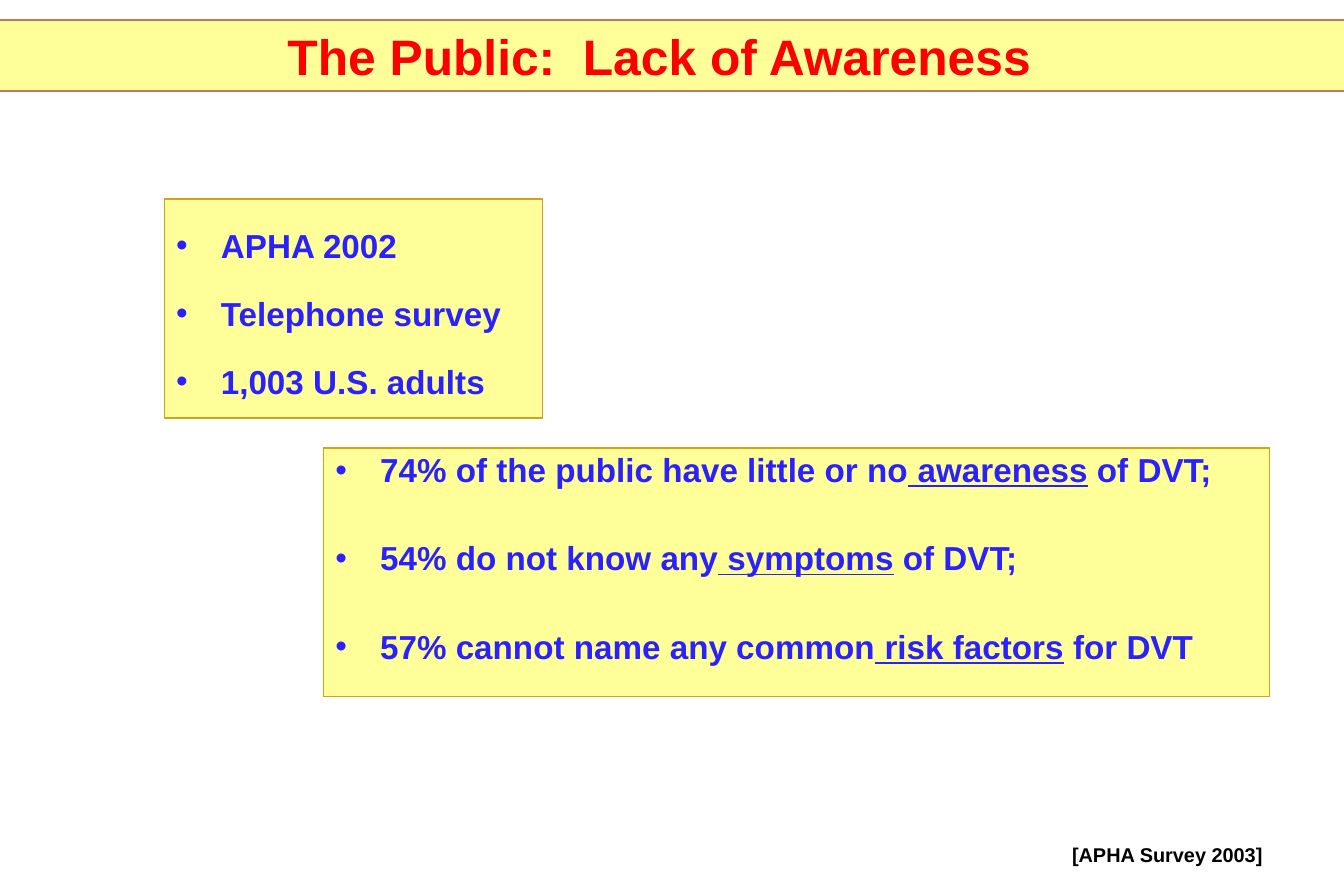
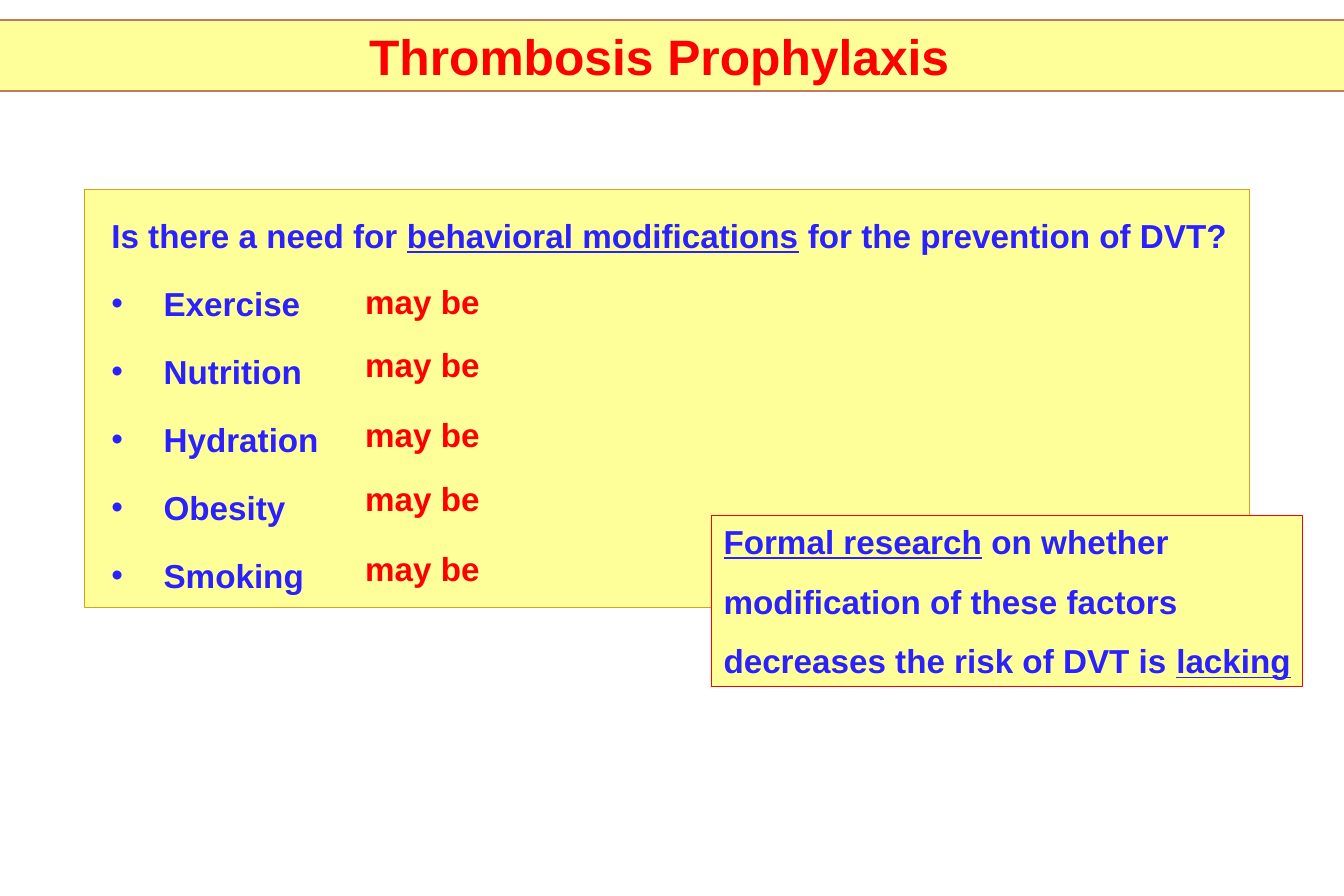
import dataclasses

import lxml.etree
import pptx
import pptx.dml.color
import pptx.enum.shapes
import pptx.enum.text
import pptx.oxml.ns
import pptx.util

PX = 9525  # 96 px to the inch
ALIGN = pptx.enum.text.PP_ALIGN
ANCHOR = pptx.enum.text.MSO_ANCHOR


@dataclasses.dataclass(frozen=True)
class Theme:
    font: str = "Arial"
    panel: str = "FFFF99"
    band_line: str = "BE7960"
    panel_line: str = "D3A219"
    blue: str = "2B20FE"
    red: str = "FF0000"
    black: str = "000000"
    title_size: int = 30
    body_size: int = 20
    source_size: int = 12


theme = Theme()


def place(shape, bounds, line=None, line_width=0.75):
    """Set a shape's bounds and, given a line colour, its panel look."""
    shape.left, shape.top, shape.width, shape.height = [n * PX for n in bounds]
    if line:
        shape.shadow.inherit = False
        shape.fill.solid()
        shape.fill.fore_color.rgb = pptx.dml.color.RGBColor.from_string(theme.panel)
        shape.line.color.rgb = pptx.dml.color.RGBColor.from_string(line)
        shape.line.width = pptx.util.Pt(line_width)
    return shape


def write(shape, text, size=theme.body_size, color=theme.blue, align=ALIGN.LEFT,
          anchor=ANCHOR.TOP, wrap=True, spacing=1.0, before=0, margin=0, hang=0,
          bullets_from=None):
    """Write one paragraph a line; stretches between bars are underlined."""
    frame = shape.text_frame
    frame.auto_size = pptx.enum.text.MSO_AUTO_SIZE.NONE
    frame.word_wrap = wrap
    frame.vertical_anchor = anchor
    for index, line in enumerate(text.split("\n")):
        para = frame.add_paragraph() if index else frame.paragraphs[0]
        para.alignment = align
        para.line_spacing = spacing
        para.space_before = pptx.util.Pt(before if index else 0)
        properties = para._p.get_or_add_pPr()
        if margin:
            properties.set("marL", str(margin * PX))
            properties.set("indent", str(-hang * PX))
        if bullets_from is not None and index >= bullets_from:
            tint = lxml.etree.SubElement(properties, pptx.oxml.ns.qn("a:buClr"))
            lxml.etree.SubElement(tint, pptx.oxml.ns.qn("a:srgbClr"), val=color)
            lxml.etree.SubElement(properties, pptx.oxml.ns.qn("a:buFont"), typeface=theme.font)
            lxml.etree.SubElement(properties, pptx.oxml.ns.qn("a:buChar"), char="•")
        for part, words in enumerate(line.split("|")):
            if words:
                span = para.add_run()
                span.text = words
                span.font.name = theme.font
                span.font.size = pptx.util.Pt(size)
                span.font.bold = True
                span.font.underline = part % 2 == 1
                span.font.color.rgb = pptx.dml.color.RGBColor.from_string(color)


deck = pptx.Presentation()
deck.slide_width, deck.slide_height = 1080 * PX, 720 * PX
RECTANGLE = pptx.enum.shapes.MSO_SHAPE.RECTANGLE

# Pages with their title bands
pages = []
for title in ("The Public:  Lack of Awareness", "Thrombosis Prophylaxis"):
    page = deck.slides.add_slide(deck.slide_layouts[5])
    band = place(page.shapes.title, (-32, 16, 1124, 57), theme.band_line, 1)
    write(band, title, size=theme.title_size, color=theme.red,
          align=ALIGN.CENTER, anchor=ANCHOR.MIDDLE)
    pages.append(page)
awareness, prophylaxis = pages

# Panels: page, bounds, line colour, text, format
bulleted = dict(margin=36, hang=36, bullets_from=0)
panels = [
    (awareness, (260, 360, 760, 200), theme.panel_line,
     "74% of the public have little or no| awareness| of DVT;\n"
     "54% do not know any| symptoms| of DVT;\n"
     "57% cannot name any common| risk factors| for DVT",
     dict(bulleted, spacing=0.9, before=31.6)),
    (awareness, (132, 160, 304, 176), theme.panel_line,
     "APHA 2002\nTelephone survey\n1,003 U.S. adults",
     dict(bulleted, spacing=1.5, before=5)),
    (prophylaxis, (68, 152, 936, 336), theme.panel_line,
     "Is there a need for |behavioral modifications| for the prevention of DVT?\n"
     "Exercise\nNutrition\nHydration\nObesity\nSmoking",
     dict(margin=54, hang=42, bullets_from=1, spacing=1.5, before=5)),
    (prophylaxis, (572, 414, 475, 138), theme.red,
     "|Formal research| on whether\nmodification of these factors\n"
     "decreases the risk of DVT is |lacking|",
     dict(wrap=False)),
]
for page, bounds, line, text, text_format in panels:
    panel = page.shapes.add_shape(RECTANGLE, 0, 0, 0, 0)
    write(place(panel, bounds, line), text, **text_format)

# Wider leading after the first line of the research panel
for para in panel.text_frame.paragraphs[1:]:
    para.line_spacing = 1.5

# Survey source
source = place(awareness.shapes.add_textbox(0, 0, 0, 0), (852, 672, 173, 29))
write(source, "[APHA Survey 2003]", size=theme.source_size, color=theme.black, wrap=False)

# Answers beside the behaviours
for top in (221, 272, 328, 380, 436):
    answer = place(prophylaxis.shapes.add_textbox(0, 0, 0, 0), (284, top, 111, 42))
    write(answer, "may be", color=theme.red, align=ALIGN.CENTER, wrap=False)

deck.save("out.pptx")
